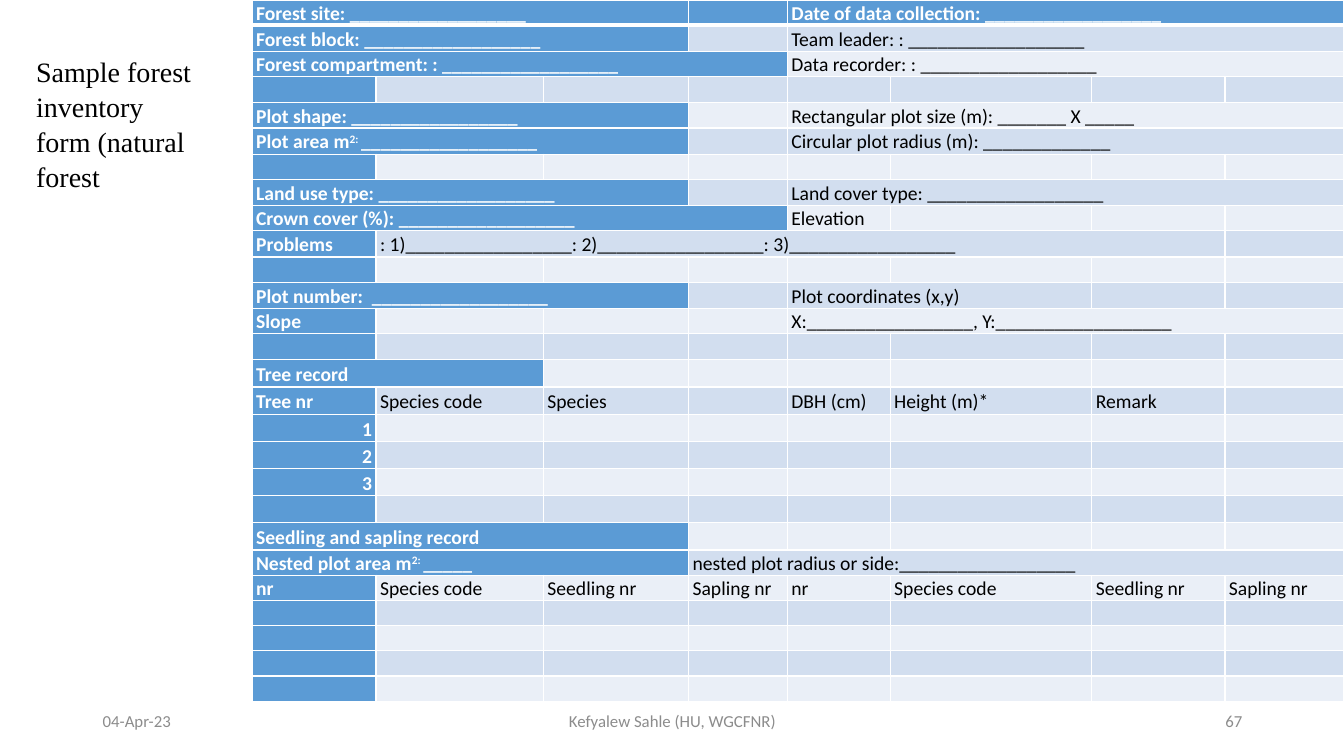
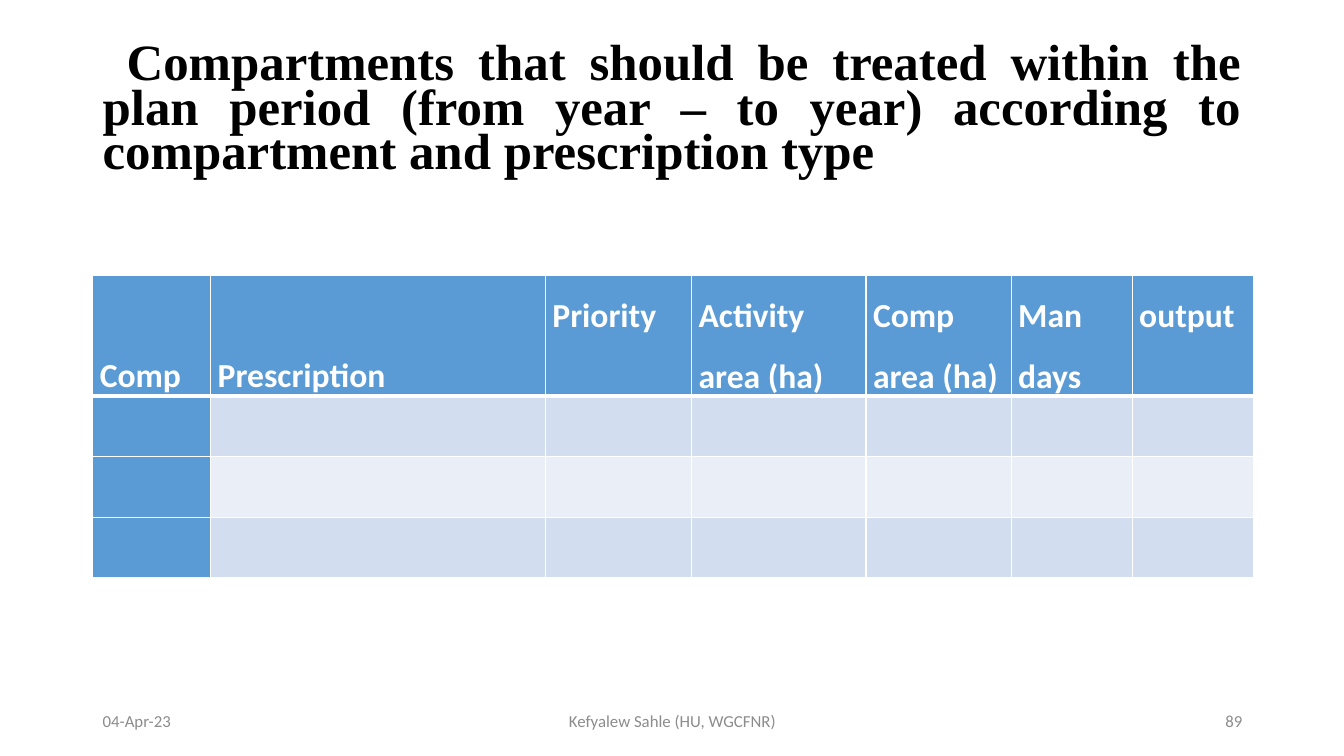
"""Build two forestry slides: an inventory form and a treatment plan."""
from lxml.etree import fromstring
from pptx import Presentation
from pptx.dml.color import RGBColor as RGB
from pptx.enum.text import MSO_ANCHOR as Anchor, PP_ALIGN as Align
from pptx.util import Pt

PX = 9144
BLUE = RGB(0x5B, 0x9B, 0xD5)
BANDS = [RGB(0xEA, 0xEF, 0xF7), RGB(0xD2, 0xDE, 0xEF)]
WHITE = RGB(255, 255, 255)
BLACK = RGB(0, 0, 0)
GREY = RGB(0x8C, 0x8C, 0x8C)
SANS, SERIF = "Calibri", "Times New Roman"
EDGE = (
    '<a:{} xmlns:a="http://schemas.openxmlformats.org/drawingml/2006/main" w="{}">'
    '<a:solidFill><a:srgbClr val="FFFFFF"/></a:solidFill></a:{}>'
)


def put(slide, box, text, size, face, color, align=Align.LEFT, anchor=Anchor.TOP, gap=1.0, bold=False):
    frame = slide.shapes.add_textbox(*[n * PX for n in box]).text_frame
    frame.word_wrap = True
    frame.vertical_anchor = anchor
    frame.text = text
    para = frame.paragraphs[0]
    para.alignment = align
    para.line_spacing = gap
    font = para.runs[0].font
    font.size, font.name, font.bold = Pt(size), face, bold
    font.color.rgb = color


def grid(slide, left, top, cols, rows, lines, size, pad, gap):
    table = slide.shapes.add_table(
        len(rows), len(cols), left * PX, top * PX, sum(cols) * PX, sum(rows) * PX
    ).table
    table.first_col = True
    for col, width in zip(table.columns, cols):
        col.width = width * PX
    for row, height in zip(table.rows, rows):
        row.height = height * PX
    for r in range(len(rows)):
        for c in range(len(cols)):
            cell = table.cell(r, c)
            head = r == 0 or c == 0
            cell.fill.solid()
            cell.fill.fore_color.rgb = BLUE if head else BANDS[r % 2]
            cell.margin_left = cell.margin_right = pad * PX
            cell.margin_top = cell.margin_bottom = 0
            cell.vertical_anchor = Anchor.BOTTOM
            for n, side in enumerate(("lnL", "lnR", "lnT", "lnB")):
                thick = (r == 0 and side == "lnB") or (r == 1 and side == "lnT")
                line = EDGE.format(side, Pt(3 if thick else 1), side)
                cell._tc.tcPr.insert(n, fromstring(line))
            cell.text_frame.paragraphs[0]._p.get_or_add_endParaRPr().set("sz", "1400")
        for c, span, text in lines.get(r, []):
            cell = table.cell(r, c)
            if span > 1:
                cell.merge(table.cell(r, c + span - 1))
            para = cell.text_frame.paragraphs[0]
            para.alignment = Align.RIGHT if text.isdigit() else Align.JUSTIFY
            para.line_spacing = gap
            for n, part in enumerate(text.split("^")):
                run = para.add_run()
                run.text = part
                font = run.font
                font.size, font.name, font.bold = Pt(size), SANS, r == 0 or c == 0
                font.color.rgb = WHITE if font.bold else BLACK
                if n % 2:
                    font._element.set("baseline", "30000")
    return table


deck = Presentation()
deck.slide_width, deck.slide_height = 1333 * PX, 750 * PX
form, plan = [deck.slides.add_slide(deck.slide_layouts[6]) for _ in range(2)]

for slide, page in ((form, "67"), (plan, "89")):
    for left, width, text, align in (
        (92, 300, "04-Apr-23", Align.LEFT),
        (442, 450, "Kefyalew Sahle (HU, WGCFNR)", Align.CENTER),
        (942, 300, page, Align.RIGHT),
    ):
        put(slide, (left, 695, width, 40), text, 12, SANS, GREY, align, Anchor.MIDDLE)

LINE = "_" * 18
SHORT = "_" * 17
fields = {
    0: [(0, 3, f"Forest site: {LINE}"), (4, 4, f"Date of data collection: {LINE}")],
    1: [(0, 3, f"Forest block: {LINE}"), (4, 4, f"Team leader: : {LINE}")],
    2: [(0, 4, f"Forest compartment: : {LINE}"), (4, 4, f"Data recorder: : {LINE}")],
    4: [(0, 3, f"Plot shape: {SHORT}"), (4, 4, "Rectangular plot size (m): _______ X _____")],
    5: [(0, 3, f"Plot area m^2: ^{LINE}"), (4, 4, "Circular plot radius (m): _____________")],
    7: [(0, 3, f"Land use type: {LINE}"), (4, 4, f"Land cover type: {LINE}")],
    8: [(0, 4, f"Crown cover (%): {LINE}"), (4, 1, "Elevation")],
    9: [(0, 1, "Problems"), (1, 6, "".join(f": {n}){SHORT}" for n in (1, 2, 3)))],
    11: [(0, 3, f"Plot number:  {LINE}"), (4, 2, "Plot coordinates (x,y)")],
    12: [(0, 1, "Slope"), (4, 4, f"X:{SHORT}, Y:{LINE}")],
    14: [(0, 2, "Tree record")],
    15: [(0, 1, "Tree nr"), (1, 1, "Species code"), (2, 1, "Species"),
         (4, 1, "DBH (cm)"), (5, 1, "Height (m)*"), (6, 1, "Remark")],
    16: [(0, 1, "1")],
    17: [(0, 1, "2")],
    18: [(0, 1, "3")],
    20: [(0, 3, "Seedling and sapling record")],
    21: [(0, 3, "Nested plot area m^2: ^_____"), (3, 5, f"nested plot radius or side:{LINE}")],
    22: [(c, 1, text) for c, text in enumerate(["nr", "Species code", "Seedling nr", "Sapling nr"] * 2)],
}
grid(form, 250, 0, (123, 166, 144, 98, 102, 200, 132, 118),
     [25, 26] * 7 + [27] * 7 + [25] * 6, fields, 14, 4, 1.07)
put(form, (26, 48, 183, 145), "Sample forest inventory form (natural forest", 20, SERIF, BLACK, gap=1.04)

heads = ("Comp", "Prescription", "Priority", "Activity area (ha)", "Comp area (ha)", "Man days", "output")
table = grid(plan, 92, 273, (117, 332, 145, 173, 144, 120, 120), (119, 60, 60, 60),
             {0: [(c, 1, text) for c, text in enumerate(heads)]}, 24, 7, 1.5)
for name in ("Priority", "output"):
    table.cell(0, heads.index(name)).vertical_anchor = Anchor.TOP
put(plan, (92, 40, 1150, 145),
    " Compartments that should be treated within the plan period (from year – to year) "
    "according to compartment and prescription type",
    36.3, SERIF, BLACK, Align.JUSTIFY, gap=0.73, bold=True)

deck.save("out.pptx")
